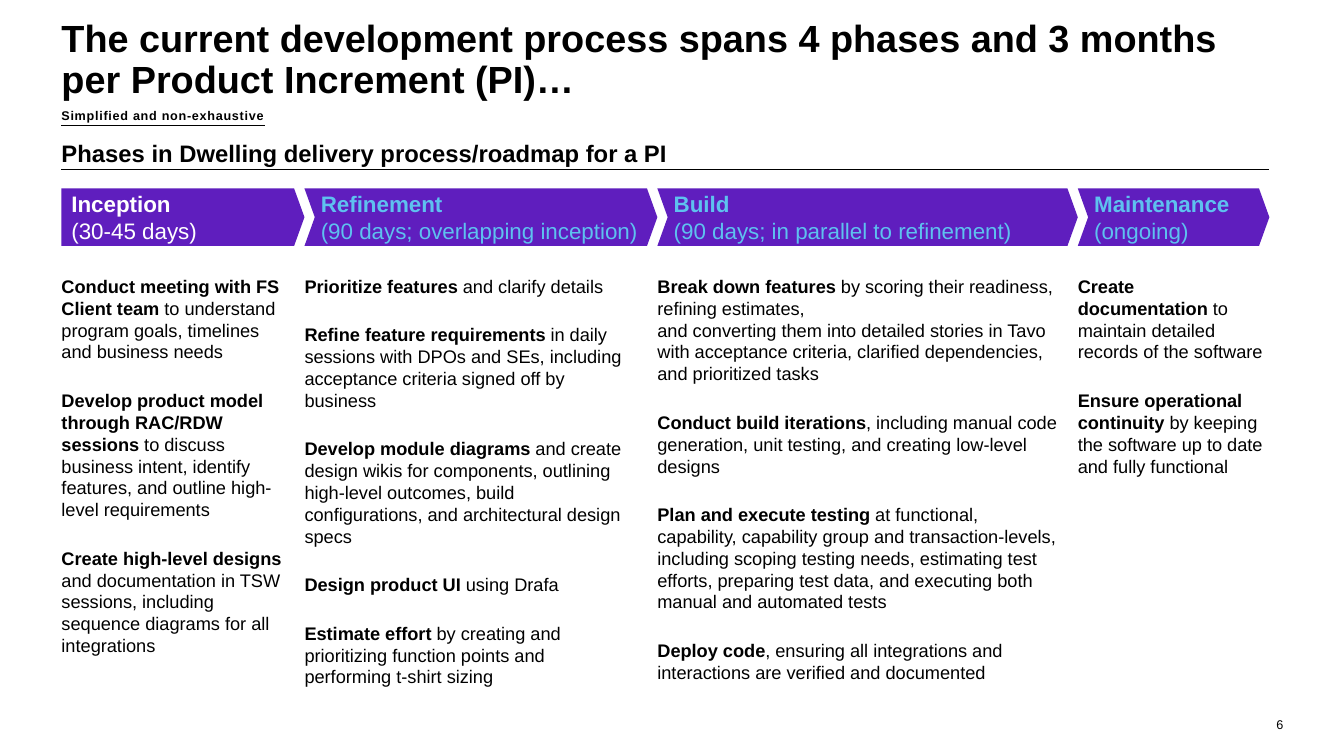
from itertools import pairwise

from lxml import etree
from pptx import Presentation
from pptx import util as u
from pptx.dml.color import RGBColor
from pptx.enum import shapes, text
from pptx.oxml import ns

PX = 9144
BLACK = RGBColor(0, 0, 0)
WHITE = RGBColor(0xFF, 0xFF, 0xFF)
PURPLE = RGBColor(0x5F, 0x1E, 0xBE)
SKY = RGBColor(0x5E, 0xC1, 0xEF)

EDGES = [61, 302, 652, 1069, 1259]
PHASES = [
    ("Inception", "(30-45 days)", 225, [
        ("Conduct meeting with FS Client team ",
         "to understand program goals, timelines and business needs"),
        ("Develop product model through RAC/RDW sessions ",
         "to discuss business intent, identify features, and outline "
         "high-level requirements"),
        ("Create high-level designs ",
         "and documentation in TSW sessions, including sequence diagrams "
         "for all integrations"),
    ]),
    ("Refinement", "(90 days; overlapping inception)", 325, [
        ("Prioritize features ", "and clarify details"),
        ("Refine feature requirements ",
         "in daily sessions with DPOs and SEs, including acceptance criteria "
         "signed off by business"),
        ("Develop module diagrams ",
         "and create design wikis for components, outlining high-level "
         "outcomes, build configurations, and architectural design specs"),
        ("Design product UI ", "using Drafa"),
        ("Estimate effort",
         " by creating and prioritizing function points and performing "
         "t-shirt sizing"),
    ]),
    ("Build", "(90 days; in parallel to refinement)", 401, [
        ("Break down features ",
         "by scoring their readiness, refining estimates, \n"
         "and converting them into detailed stories in Tavo with acceptance "
         "criteria, clarified dependencies, and prioritized tasks"),
        ("Conduct build iterations",
         ", including manual code generation, unit testing, and creating "
         "low-level designs"),
        ("Plan and execute testing ",
         "at functional, capability, capability group and "
         "transaction-levels, including scoping testing needs, estimating "
         "test efforts, preparing test data, and executing both manual and "
         "automated tests"),
        ("Deploy code",
         ", ensuring all integrations and interactions are verified and "
         "documented"),
    ]),
    ("Maintenance", "(ongoing)", 190, [
        ("Create documentation",
         " to maintain detailed records of the software"),
        ("Ensure operational continuity ",
         "by keeping the software up to date and fully functional"),
    ]),
]


def px(*sizes):
    return [size * PX for size in sizes]


def set_frame(frame, pads, anchor):
    frame.word_wrap = True
    frame.vertical_anchor = anchor
    (frame.margin_left, frame.margin_top,
     frame.margin_right, frame.margin_bottom) = px(*pads)


def set_font(para, size, color):
    para.font.name = "Arial"
    para.font.size = u.Pt(size)
    para.font.color.rgb = color


def add_runs(para, bold, plain):
    para.add_run().text = bold
    para.runs[0].font.bold = True
    for i, line in enumerate(plain.split("\n")):
        if i:
            para.add_line_break()
        para.add_run().text = line


def add_label(slide, box, words, size, bold=True, pads=(0, 0, 0, 0),
              anchor=text.MSO_ANCHOR.TOP):
    frame = slide.shapes.add_textbox(*px(*box)).text_frame
    set_frame(frame, pads, anchor)
    para = frame.paragraphs[0]
    para.text = words
    set_font(para, size, BLACK)
    para.font.bold = bold
    return para


def add_rule(slide, left, right, top, width):
    rule = slide.shapes.add_connector(
        shapes.MSO_CONNECTOR.STRAIGHT, *px(left, top, right, top))
    rule.line.color.rgb = BLACK
    rule.line.width = u.Pt(width)
    props = rule.element.find(ns.qn("p:spPr"))
    etree.SubElement(props, ns.qn("a:effectLst"))


def add_phase(slide, left, right, name, span, first):
    kind = shapes.MSO_SHAPE.PENTAGON if first else shapes.MSO_SHAPE.CHEVRON
    arrow = slide.shapes.add_shape(kind, *px(left, 187, right - left, 57))
    arrow.adjustments[0] = 0.18
    arrow.shadow.inherit = False
    arrow.fill.solid()
    arrow.fill.fore_color.rgb = PURPLE
    arrow.line.fill.background()
    frame = arrow.text_frame
    set_frame(frame, (10, 5, 10, 5) if first else (6, 1, 6, 1),
              text.MSO_ANCHOR.MIDDLE)
    para = frame.paragraphs[0]
    para.alignment = text.PP_ALIGN.LEFT
    set_font(para, 16, WHITE if first else SKY)
    add_runs(para, name, "\n" + span)


def add_steps(slide, left, width, steps):
    frame = slide.shapes.add_textbox(*px(left, 273, width, 410)).text_frame
    set_frame(frame, (0, 0, 0, 0), text.MSO_ANCHOR.TOP)
    for i, step in enumerate(steps):
        para = frame.add_paragraph() if i else frame.paragraphs[0]
        para.space_before = u.Pt(16)
        para.space_after = u.Pt(3)
        set_font(para, 13, BLACK)
        add_runs(para, *step)


def main():
    deck = Presentation()
    deck.slide_width, deck.slide_height = px(1333, 750)
    slide = deck.slides.add_slide(deck.slide_layouts[6])

    title = add_label(
        slide, (61, 20, 1212, 80),
        "The current development process spans 4 phases and 3 months "
        "per Product Increment (PI)…",
        27, pads=(0, 5, 10, 5), anchor=text.MSO_ANCHOR.MIDDLE)
    title.line_spacing = 0.9

    note = add_label(slide, (61, 107, 210, 17),
                     "Simplified and non-exhaustive", 9)
    note.runs[0].font._element.set("spc", "50")
    add_rule(slide, 61, 263, 124, 0.33)

    add_label(slide, (61, 138, 1199, 34),
              "Phases in Dwelling delivery process/roadmap for a PI", 17)
    add_rule(slide, EDGES[0], EDGES[-1], 168, 0.5)

    for (left, right), (name, span, width, steps) in zip(
            pairwise(EDGES), PHASES):
        add_phase(slide, left, right, name, span, left == EDGES[0])
        add_steps(slide, left, width, steps)

    page = add_label(slide, (1237, 711, 36, 15), "6", 9, bold=False,
                     anchor=text.MSO_ANCHOR.BOTTOM)
    page.alignment = text.PP_ALIGN.RIGHT
    deck.save("out.pptx")


if __name__ == "__main__":
    main()
